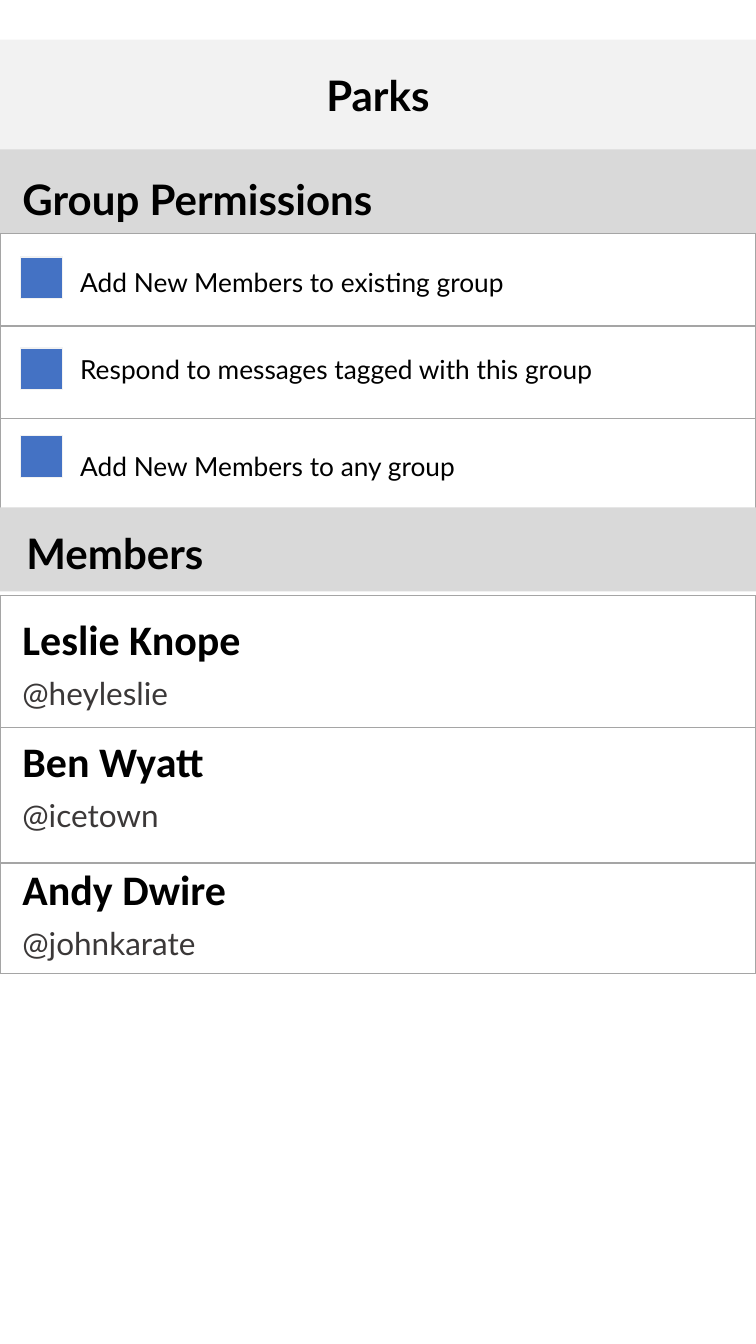
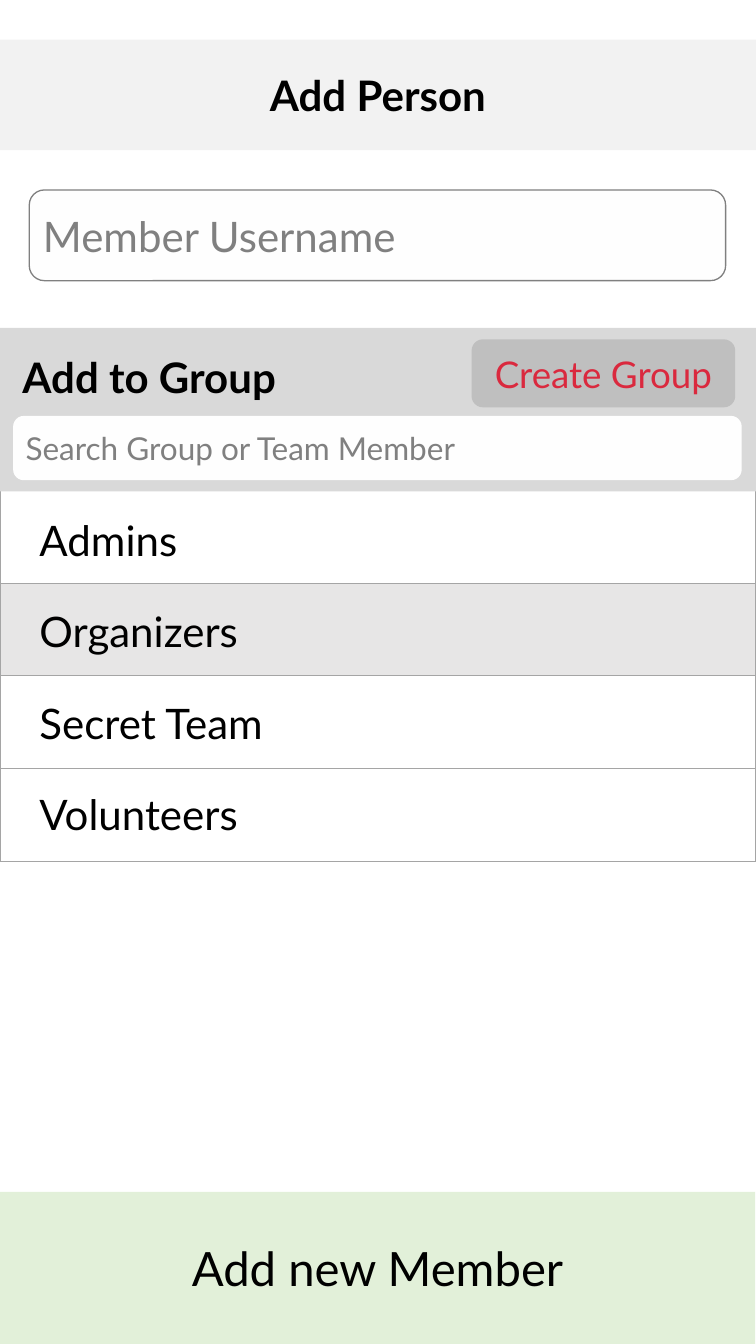
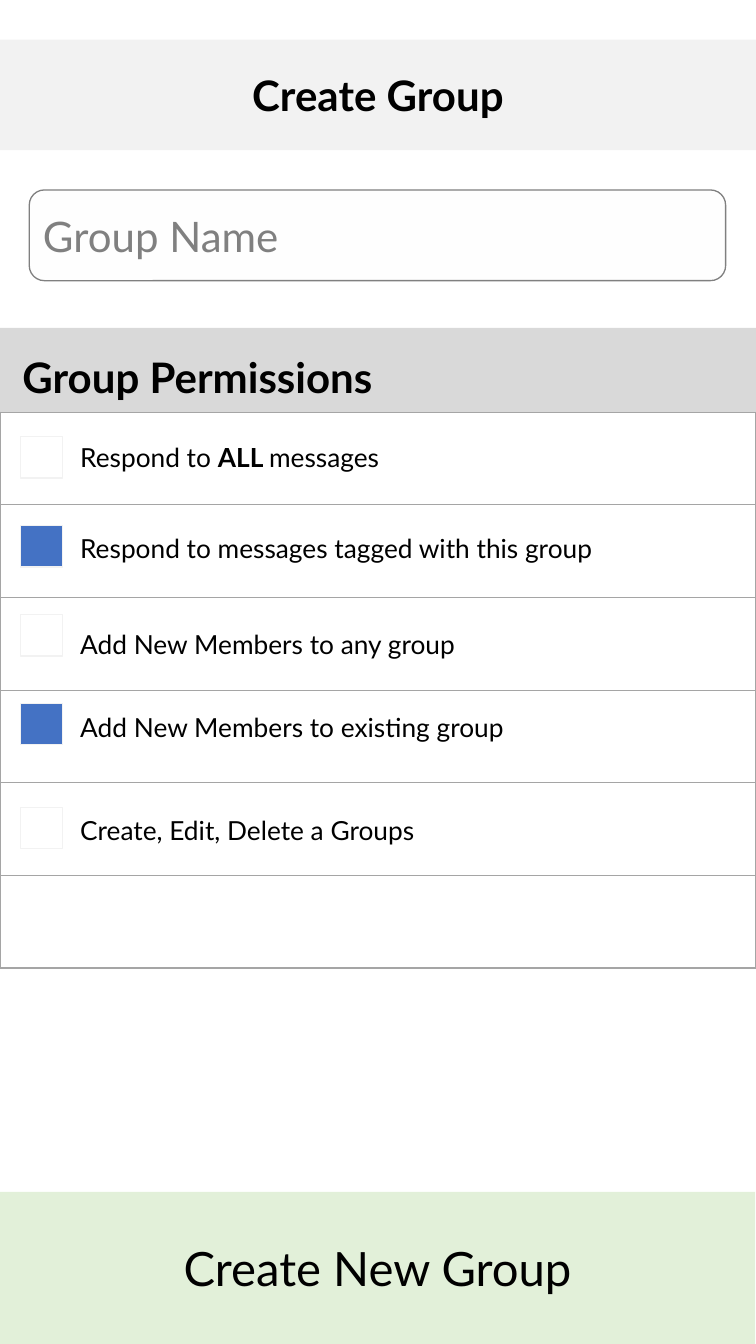
from lxml import etree
from pptx import Presentation
from pptx.dml.color import RGBColor
from pptx.enum import shapes, text as txt
from pptx.oxml.ns import qn
from pptx.util import Pt

BLACK = RGBColor(0x00, 0x00, 0x00)
WHITE = RGBColor(0xFF, 0xFF, 0xFF)
OFF_WHITE = RGBColor(0xFE, 0xFE, 0xFE)
HEADER = RGBColor(0xF2, 0xF2, 0xF2)
BAND = RGBColor(0xD9, 0xD9, 0xD9)
SELECTED = RGBColor(0xE7, 0xE6, 0xE6)
BUTTON = RGBColor(0xBF, 0xBF, 0xBF)
BORDER = RGBColor(0xA5, 0xA5, 0xA5)
HINT = RGBColor(0x80, 0x80, 0x80)
HANDLE = RGBColor(0x3B, 0x38, 0x38)
BLUE = RGBColor(0x44, 0x72, 0xC4)
GREEN = RGBColor(0xE2, 0xF0, 0xD9)
RED = RGBColor(0xDA, 0x29, 0x3E)

RECT = shapes.MSO_SHAPE.RECTANGLE
ROUND = shapes.MSO_SHAPE.ROUNDED_RECTANGLE
TITLE, TEXT = "title", "text"
LEFT, CENTER = txt.PP_ALIGN.LEFT, txt.PP_ALIGN.CENTER

WIDTH, HEIGHT = 576, 1023.8
BAND_H, ROW_H, CHECK, HEADING_H = 64, 70.6, 31.7, 46.1


def add_box(s, kind, at, text="", fill=None, line=None, size=32, color=BLACK,
            bold=False, font="Lato", align=LEFT, wrap=True):
    """Place a title, text box or preset shape; text is a string or (text, bold) runs."""
    at = [Pt(v) for v in at]
    if kind == TITLE:
        sp = s.shapes.title
        sp.left, sp.top, sp.width, sp.height = at
        sp.element.getparent().append(sp.element)  # in front of the header bar
    elif kind == TEXT:
        sp = s.shapes.add_textbox(*at)
    else:
        sp = s.shapes.add_shape(kind, *at)
        sp.shadow.inherit = False
        if fill is None:
            sp.fill.background()
        else:
            sp.fill.solid()
            sp.fill.fore_color.rgb = fill
        if line is None:
            sp.line.fill.background()
        else:
            sp.line.color.rgb = line
            sp.line.width = Pt(1)
    if not text:
        return
    tf = sp.text_frame
    tf.word_wrap = wrap
    if kind in (TITLE, TEXT):
        tf.vertical_anchor = txt.MSO_ANCHOR.TOP
        tf.auto_size = txt.MSO_AUTO_SIZE.SHAPE_TO_FIT_TEXT
    else:
        tf.vertical_anchor = txt.MSO_ANCHOR.MIDDLE
    p = tf.paragraphs[0]
    p.alignment = align
    for part, strong in [(text, bold)] if isinstance(text, str) else text:
        r = p.add_run()
        r.text = part
        r.font.name, r.font.size, r.font.bold = font, Pt(size), strong
        r.font.color.rgb = color


def add_rows(s, top, heights, selected=None):
    """Add a full-width, one-column table with thin grey borders."""
    table = s.shapes.add_table(len(heights), 1, 0, Pt(top), Pt(WIDTH), Pt(sum(heights))).table
    table.first_row = table.horz_banding = False
    for i, height in enumerate(heights):
        table.rows[i].height = Pt(height)
        cell = table.cell(i, 0)
        tc_pr = cell._tc.get_or_add_tcPr()
        for side in ("lnL", "lnR", "lnT", "lnB"):
            ln = etree.SubElement(tc_pr, qn(f"a:{side}"), w=str(Pt(1)))
            solid = etree.SubElement(ln, qn("a:solidFill"))
            etree.SubElement(solid, qn("a:srgbClr"), val=str(BORDER))
        cell.fill.solid()
        cell.fill.fore_color.rgb = SELECTED if i == selected else WHITE


prs = Presentation()
prs.slide_width, prs.slide_height = Pt(WIDTH), Pt(HEIGHT)

# Parts that the screens share: title, input field, first band, bottom button
SCREENS = [
    ("Parks", None, 113.8, 128.9, "Group Permissions", None),
    ("Add Person", "Member Username", 249.8, 264.2, "Add to Group", "Add new Member"),
    ("Create Group", "Group Name", 249.8, 264.2, "Group Permissions", "Create New Group"),
]
for title, field, band_y, heading_y, heading, action in SCREENS:
    s = prs.slides.add_slide(prs.slide_layouts[5])
    add_box(s, RECT, (0, 30.2, WIDTH, 84.2), fill=HEADER)
    add_box(s, TITLE, (31.7, 49, 512.6, HEADING_H), title, bold=True, align=CENTER)
    if field:
        add_box(s, ROUND, (22.3, 144.7, 530.6, 69.1), field, fill=OFF_WHITE, line=HINT, color=HINT)
    add_box(s, RECT, (0, band_y, WIDTH, BAND_H), fill=BAND)
    add_box(s, TEXT, (10, heading_y, 512.6, HEADING_H), heading, bold=True)
    if action:
        add_box(s, RECT, (0, 907.9, 575.3, 115.9), action, fill=GREEN, size=36, align=CENTER)
parks, add_person, create_group = prs.slides

# Permission lists
add_rows(parks, 177.8, [ROW_H] * 3)
add_rows(create_group, 313.9, [ROW_H] * 6)

TAGGED = ("Respond to messages tagged with this group", 429.8)
EXISTING = ("Add New Members to existing group", 356.4)
ANY = ("Add New Members to any group", 316.8)
ALL = ((("Respond to ", False), ("ALL ", True), ("messages", False)), 255.6)
EDIT = ("Create, Edit, Delete a Groups", 285.1)

PERMISSIONS = [  # slide, (label, width), label top, check box top, checked
    (parks, EXISTING, 199.4, 195.8, True),
    (parks, TAGGED, 265.7, 265, True),
    (parks, ANY, 339.1, 331.9, True),
    (create_group, ALL, 332.6, 332.6, False),
    (create_group, TAGGED, 401.8, 400.3, True),
    (create_group, ANY, 475.2, 468, False),
    (create_group, EXISTING, 538.6, 535.7, True),
    (create_group, EDIT, 617, 614.9, False),
]
for s, (label, width), label_y, check_y, checked in PERMISSIONS:
    add_box(s, TEXT, (54, label_y, width, CHECK), label, size=20, wrap=False)
    add_box(s, RECT, (15.8, check_y, CHECK, CHECK), fill=BLUE if checked else None, line=HEADER)

# Parks: members
add_box(parks, RECT, (0, 386.6, WIDTH, BAND_H), fill=BAND)
add_box(parks, TEXT, (13, 398.2, 512.6, HEADING_H), "Members", bold=True)
add_rows(parks, 453.6, [100.8, 103, 84.2])
MEMBERS = [
    ("Leslie Knope", "@heyleslie", 463.7),
    ("Ben Wyatt", "@icetown", 556.6),
    ("Andy Dwire", "@johnkarate", 654.5),
]
for name, handle, y in MEMBERS:
    add_box(parks, TEXT, (10, y, 254.2, HEADING_H), name, bold=True, font="Calibri")
    add_box(parks, TEXT, (10, y + HEADING_H, 285.8, 36), handle, size=24, color=HANDLE)

# Add Person: group search and list
add_rows(add_person, 373.7, [ROW_H] * 4, selected=1)
add_box(add_person, RECT, (0, 313.9, WIDTH, 60.5), fill=BAND)
add_box(add_person, ROUND, (10, 316.8, 555.1, 49), "Search Group or Team Member",
        fill=OFF_WHITE, size=24, color=HINT)
add_box(add_person, ROUND, (359.3, 258.5, 200.9, 51.8), "Create Group",
        fill=BUTTON, size=28, color=RED, align=CENTER)
GROUPS = [("Admins", 124.6), ("Organizers", 174.2), ("Secret Team", 193.7), ("Volunteers", 169.9)]
for i, (group, width) in enumerate(GROUPS):
    add_box(add_person, TEXT, (23, 388.1 + 69.8 * i, width, HEADING_H), group, wrap=False)

prs.save("out.pptx")
